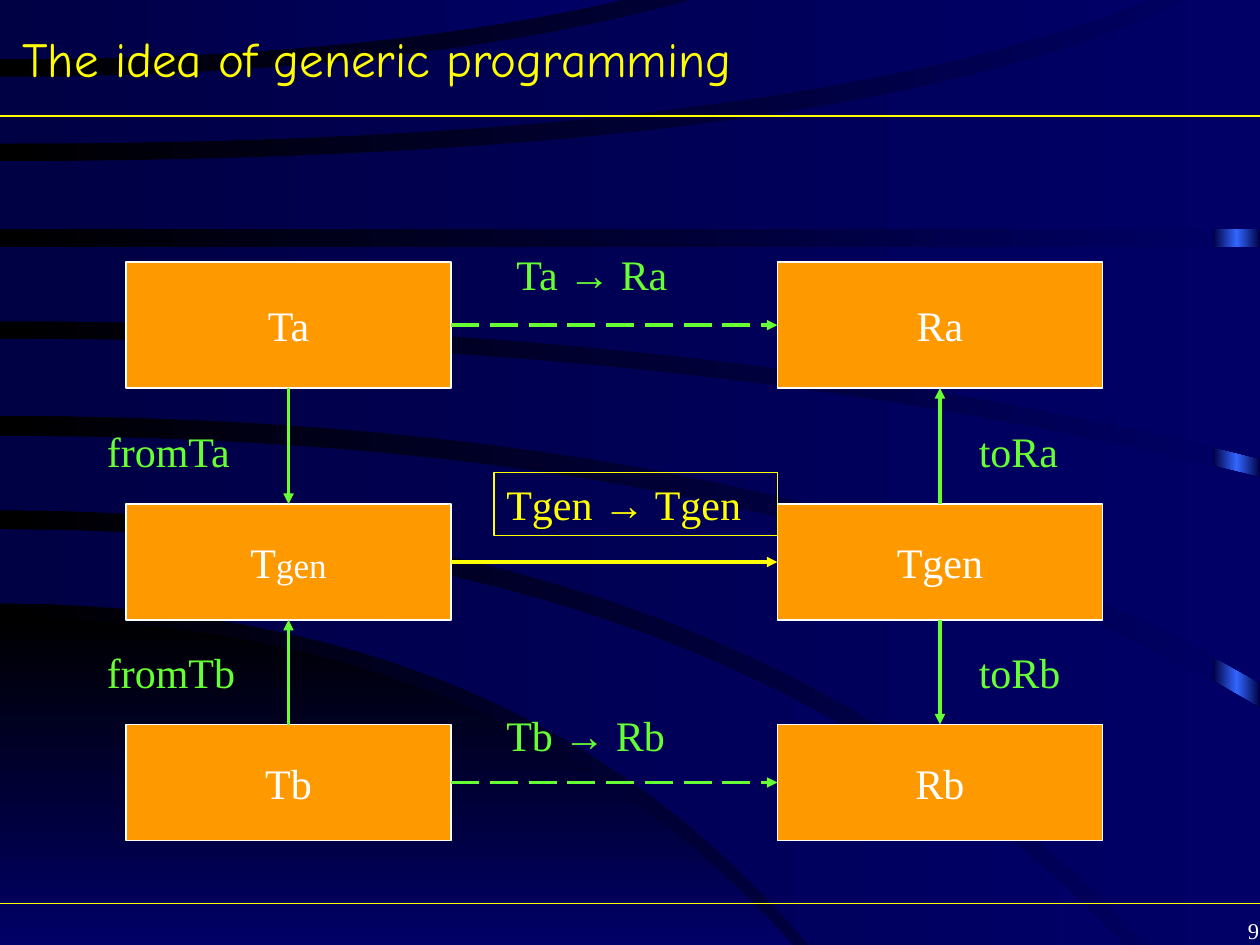
from copy import deepcopy

from lxml import etree
from pptx import Presentation
from pptx.dml.color import RGBColor
from pptx.enum.dml import MSO_LINE
from pptx.enum.shapes import MSO_CONNECTOR, MSO_SHAPE
from pptx.enum.text import MSO_ANCHOR as Anchor, MSO_AUTO_SIZE as AutoSize, PP_ALIGN as Align
from pptx.oxml.ns import qn
from pptx.util import Inches, Pt

GREEN, YELLOW, WHITE, ORANGE = "66FF33", "FFFF00", "FFFFFF", "FF9900"
BLACK, DARK, NAVY, GLOW = "000000", "000044", "000066", "3366FF"
SERIF, ARROW_FONT, TITLE_FONT = "Times New Roman", "Arial", "Comic Neue"
TOP, LEFT, BOTTOM, RIGHT = range(4)
CURVE_STEPS = 24

# Each edge leaves the left side level: start y, bend x, end x, end y
CORNER = [(4.91, 4, 6.29, 7.5), (7.5, 3, 6.29, 7.5)]
# Upper edge, lower edge and corner points between their ends, back to front
BANDS = [
    [(4.2, 5.75, 8.93, 7.5), (4.79, 4.15, 6.42, 7.5)],
    [(3.46, 6.4, 10, 5.62), (4.05, 5.95, 9.09, 7.5), (10, 7.5)],
    [(2.69, 5.7, 10, 3.79), (3.3, 6.4, 10, 5.42)],
    [(1.96, 5, 10, 1.96), (2.55, 5.7, 10, 3.64)],
    [(1.28, 6.9, 9.43, -0.02), (1.82, 5, 10, 1.82), (10, -0.02)],
    [(0.61, 3.35, 5.56, -0.02), (1.14, 6.35, 9.17, -0.02)],
    [(-0.02, 2.5, 5.01, -0.02), (0.47, 2.95, 5.01, -0.02)],
]


def color(hex_string):
    return RGBColor.from_string(hex_string)


def apply_format(target, values):
    for name, value in values.items():
        setattr(target, name, value)


def paint_gradient(fill, colors, angle=0):
    fill.gradient()
    fill.gradient_angle = angle
    paint_stops(fill, colors)


def paint_stops(fill, colors):
    for index, (stop, hex_string) in enumerate(zip(fill.gradient_stops, colors)):
        stop.color.rgb = color(hex_string)
        stop.position = index / (len(colors) - 1)


def write(shape, runs, frame_format, paragraph_format):
    """Fill a shape with one paragraph of (text, size, font, colour) runs."""
    apply_format(shape.text_frame, frame_format)
    paragraph = shape.text_frame.paragraphs[0]
    apply_format(paragraph, paragraph_format)
    for text, size, font, hex_string in runs:
        run = paragraph.add_run()
        run.text = text
        apply_format(run.font, {"size": Pt(size), "name": font})
        run.font.color.rgb = color(hex_string)


def style_line(line, hex_string, width):
    line.color.rgb = color(hex_string)
    line.width = Pt(width)


def add_line(slide, start, end, hex_string, width):
    line = slide.shapes.add_connector(MSO_CONNECTOR.STRAIGHT, *map(Inches, start + end))
    style_line(line.line, hex_string, width)
    etree.SubElement(line.element.spPr, qn("a:effectLst"))
    return line


def trace_edge(start_y, bend_x, end_x, end_y):
    """Sample a quadratic curve that starts level at the left side."""
    steps = [step / CURVE_STEPS for step in range(CURVE_STEPS + 1)]
    return [(2 * t * (1 - t) * bend_x + t * t * end_x, start_y + t * t * (end_y - start_y))
            for t in steps]


def add_band(slide, left, top, band_edges, colors, angle=0):
    upper, lower, *corners = band_edges
    outline = trace_edge(*upper) + corners + trace_edge(*lower)[::-1]
    points = [(Inches(left + x), Inches(top + y)) for x, y in outline]
    builder = slide.shapes.build_freeform(*points[0])
    builder.add_line_segments(points[1:], close=True)
    band = builder.convert_to_shape()
    band.shadow.inherit = False
    band.line.fill.background()
    paint_gradient(band.fill, colors, angle)


def add_backdrop(slide, left, top, width, height):
    paint_gradient(slide.background.fill, [BLACK, NAVY])
    add_band(slide, left, top, CORNER, [BLACK, NAVY], 270)
    # Glowing strip, seen between the bands at the right edge
    strip = slide.shapes.add_shape(MSO_SHAPE.RECTANGLE, Inches(left + width - 0.37), Inches(top),
                                   Inches(0.37), Inches(height))
    strip.shadow.inherit = False
    strip.line.fill.background()
    paint_gradient(strip.fill, [DARK, GLOW])
    stops = strip.element.spPr.find(".//" + qn("a:gsLst"))
    stops.append(deepcopy(stops[0]))
    paint_stops(strip.fill, [DARK, GLOW, DARK])
    for band_edges in BANDS:
        add_band(slide, left, top, band_edges, [DARK, NAVY])
    # Rules above the footer and below the title
    for y in (top + height - 0.33, top + 0.92):
        add_line(slide, (left, y), (left + width + 0.08, y), YELLOW, 0.75)


def add_text(slide, left, top, width, height, runs, frame_format, paragraph_format):
    box = slide.shapes.add_textbox(*map(Inches, (left, top, width, height)))
    write(box, runs, {"word_wrap": True, **frame_format}, paragraph_format)
    return box


def add_node(slide, left, top, width, height, runs):
    node = slide.shapes.add_shape(MSO_SHAPE.RECTANGLE, *map(Inches, (left, top, width, height)))
    node.shadow.inherit = False
    node.fill.solid()
    node.fill.fore_color.rgb = color(ORANGE)
    style_line(node.line, WHITE, 0.75)
    write(node, [(text, size, SERIF, WHITE) for text, size in runs],
          {"word_wrap": False, "vertical_anchor": Anchor.MIDDLE}, {"alignment": Align.CENTER})
    return node


def add_arrow(slide, source, source_side, target, target_side, hex_string, dashed):
    arrow = add_line(slide, (0, 0), (1, 1), hex_string, 2)
    arrow.begin_connect(source, source_side)
    arrow.end_connect(target, target_side)
    if dashed:
        arrow.line.dash_style = MSO_LINE.LONG_DASH
    etree.SubElement(arrow.get_or_add_ln(), qn("a:tailEnd"), type="triangle")


def add_diagram(slide, left, top, width, height):
    node_width = 2.58
    columns = (left, left + width - node_width)
    rows = ((top, 1), (top + 1.92, 0.92), (top + height - 0.92, 0.92))
    names = (([("Ta", 24)], [("Ra", 24)]),
             ([("T", 24), ("gen", 20)], [("Tgen", 24)]),
             ([("Tb", 24)], [("Rb", 24)]))
    (ta, ra), (t_gen, r_gen), (tb, rb) = [
        [add_node(slide, x, y, node_width, node_height, runs) for x, runs in zip(columns, pair)]
        for (y, node_height), pair in zip(rows, names)]

    # Functions between the types
    for arrow in ((ta, RIGHT, ra, LEFT, GREEN, True), (r_gen, TOP, ra, BOTTOM, GREEN, False),
                  (ta, BOTTOM, t_gen, TOP, GREEN, False), (tb, TOP, t_gen, BOTTOM, GREEN, False),
                  (tb, RIGHT, rb, LEFT, GREEN, True), (t_gen, RIGHT, r_gen, LEFT, YELLOW, False),
                  (r_gen, BOTTOM, rb, TOP, GREEN, False)):
        add_arrow(slide, *arrow)

    # Labels: offset in the diagram, width, words (split by an arrow), colour
    for x, y, label_width, words, hue in (
            (2.92, 3.5, 1.92, ("Tb ", " Rb"), GREEN), (6.67, 3, 1.25, ("toRb",), GREEN),
            (-0.25, 3, 1.67, ("fromTb",), GREEN), (2.92, 1.67, 2.25, ("Tgen ", " Tgen"), YELLOW),
            (3, -0.16, 1.75, ("Ta ", " Ra"), GREEN), (-0.25, 1.25, 1.42, ("fromTa",), GREEN),
            (6.67, 1.25, 1, ("toRa",), GREEN)):
        runs = [(word, 24, SERIF, hue) for word in words]
        if len(runs) == 2:
            runs.insert(1, ("→", 24, ARROW_FONT, hue))
        label = add_text(slide, left + x, top + y, label_width, 0.5, runs,
                         {"auto_size": AutoSize.SHAPE_TO_FIT_TEXT}, {"space_before": Pt(15)})
        if hue == YELLOW:
            style_line(label.line, YELLOW, 0.75)


def main():
    deck = Presentation()
    apply_format(deck, {"slide_width": Inches(10), "slide_height": Inches(7.5)})
    slide = deck.slides.add_slide(deck.slide_layouts[6])
    add_backdrop(slide, 0, 0, 10, 7.5)
    # Page number and title
    add_text(slide, 9.3, 7.25, 0.79, 0.33, [("9", 12.9, SERIF, WHITE)], {},
             {"alignment": Align.RIGHT, "line_spacing": 0.9})
    add_text(slide, 0.08, 0, 8.5, 0.92,
             [("The idea of generic programming", 28, TITLE_FONT, YELLOW)],
             {"vertical_anchor": Anchor.MIDDLE}, {})
    add_diagram(slide, 1, 2.08, 7.75, 4.59)
    deck.save("out.pptx")


if __name__ == "__main__":
    main()
